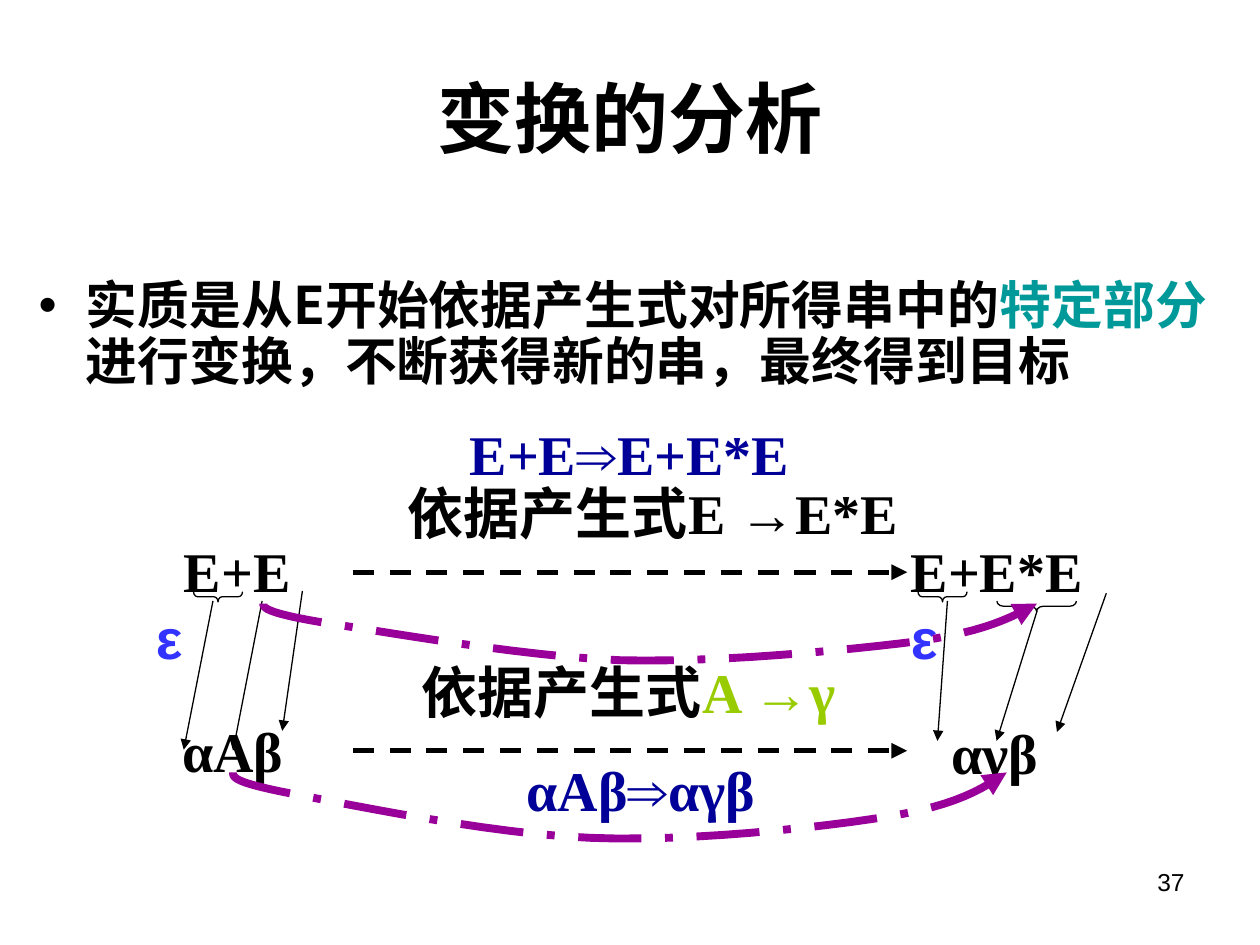
from lxml.etree import SubElement
from pptx import Presentation
from pptx.dml.color import RGBColor
from pptx.enum.dml import MSO_LINE
from pptx.enum.shapes import MSO_CONNECTOR, MSO_SHAPE
from pptx.enum.text import MSO_ANCHOR, PP_ALIGN
from pptx.oxml.ns import qn
from pptx.util import Pt

SERIF, SANS, CJK = "Times New Roman", "Arial", "Noto Sans CJK JP"
BLACK, NAVY, BLUE = "000000", "000099", "3333FF"
TEAL, LIME, PURPLE = "009999", "99CC00", "990099"


def color(hex_string):
    return RGBColor.from_string(hex_string)


def text(words, **changes):
    """Return the words with their format; defaults suit the diagram labels."""
    return words, dict(size=32, font=SERIF, color=BLACK, bold=True) | changes


def curve_points(start, segments, steps=12):
    """Sample a chain of cubic Bezier segments."""
    points = [start]
    for first, second, end in segments:
        corners = (points[-1], first, second, end)
        for step in range(1, steps + 1):
            t = step / steps
            weights = ((1 - t) ** 3, 3 * t * (1 - t) ** 2, 3 * t * t * (1 - t), t ** 3)
            points.append(tuple(sum(w * c[axis] for w, c in zip(weights, corners))
                                for axis in (0, 1)))
    return points


class SlideBuilder:
    def __init__(self, deck):
        self.page = deck.slides.add_slide(deck.slide_layouts[5])

    def place(self, box, left, top, width, height):
        box.left, box.top, box.width, box.height = map(Pt, (left, top, width, height))

    def fill_para(self, para, spans, align=PP_ALIGN.LEFT):
        para.alignment = align
        for words, style in spans:
            span = para.add_run()
            span.text = words
            span.font.size = Pt(style["size"])
            span.font.bold = style["bold"]
            span.font.color.rgb = color(style["color"])
            span.font.name = style["font"]
            east_asian = SubElement(span.font._element, qn("a:ea"))
            east_asian.set("typeface", CJK)

    def title(self, spans, *area):
        box = self.page.shapes.title
        self.place(box, *area)
        box.text_frame.vertical_anchor = MSO_ANCHOR.MIDDLE
        self.fill_para(box.text_frame.paragraphs[0], spans, PP_ALIGN.CENTER)

    def label(self, paras, *area, align=PP_ALIGN.LEFT):
        box = self.page.shapes.add_textbox(*map(Pt, area))
        frame = box.text_frame
        frame.word_wrap = True
        for number, spans in enumerate(paras):
            para = frame.add_paragraph() if number else frame.paragraphs[0]
            self.fill_para(para, spans, align)
        return frame.paragraphs[0]

    def bullet(self, spans, *area, indent=27):
        para = self.label([spans], *area)
        properties = para._p.get_or_add_pPr()
        properties.set("marL", str(Pt(indent)))
        properties.set("indent", str(-Pt(indent)))
        SubElement(properties, qn("a:buFont")).set("typeface", SANS)
        SubElement(properties, qn("a:buChar")).set("char", "•")
        para.line_spacing = 0.9

    def stroke(self, shape, line_color=BLACK, width=0.75, dash=None, arrow=False):
        line = shape.line
        line.color.rgb = color(line_color)
        line.width = Pt(width)
        if dash:
            line.dash_style = dash
        if arrow:
            SubElement(line._get_or_add_ln(), qn("a:tailEnd")).set("type", "triangle")

    def arrow(self, x1, y1, x2, y2, **style):
        connector = self.page.shapes.add_connector(
            MSO_CONNECTOR.STRAIGHT, *map(Pt, (x1, y1, x2, y2)))
        SubElement(connector._element.spPr, qn("a:effectLst"))
        self.stroke(connector, arrow=True, **style)

    def brace(self, center, middle, length, depth=5.8):
        """Draw a horizontal brace whose tip points down."""
        shape = self.page.shapes.add_shape(
            MSO_SHAPE.LEFT_BRACE, Pt(center - depth / 2), Pt(middle - length / 2),
            Pt(depth), Pt(length))
        shape.rotation = 270
        shape.adjustments[0] = length / depth / 12
        shape.shadow.inherit = False
        shape.fill.background()
        self.stroke(shape)

    def swoop(self, start, segments):
        points = [(Pt(x), Pt(y)) for x, y in curve_points(start, segments)]
        builder = self.page.shapes.build_freeform(*points[0])
        builder.add_line_segments(points[1:], close=False)
        shape = builder.convert_to_shape()
        shape.shadow.inherit = False
        shape.fill.background()
        self.stroke(shape, PURPLE, 4.5, MSO_LINE.LONG_DASH_DOT, arrow=True)


def main():
    deck = Presentation()
    deck.slide_width, deck.slide_height = Pt(720), Pt(540)
    slide = SlideBuilder(deck)

    slide.title([text("变换的分析", size=44, font=CJK)], 36, 21.6, 648, 90)
    slide.label([[text("37", size=14, font=SANS, bold=False)]],
                516, 492, 168, 37.5, align=PP_ALIGN.RIGHT)
    body = dict(size=29.6, font=CJK)
    slide.bullet([text("实质是从E开始依据产生式对所得串中的", **body),
                  text("特定部分", **body, color=TEAL),
                  text("进行变换，不断获得新的串，最终得到目标", **body)],
                 15, 156.2, 705, 85)

    epsilon = [text("ε", font=SANS, color=BLUE)]
    source = slide.label([[text("E+E")], epsilon], 82, 303, 113, 46)
    source._p.get_or_add_pPr().set("indent", str(Pt(16)))
    slide.label([[text("E+E*E")], epsilon], 513.4, 303, 134.6, 46)
    slide.label([[text("依据产生式E →E*E")]], 226, 270, 306, 46)
    slide.label([[text("αAβ")]], 97, 406, 76, 46)
    slide.label([[text("依据产生式"), text("A →γ", color=LIME)]], 234, 372, 264, 46)
    slide.label([[text("αγβ")]], 536.4, 407, 70, 46)

    for y in (327, 429):
        slide.arrow(201.6, y, 518.4, y, width=3, dash=MSO_LINE.DASH)
    for center, middle, length in ((124.6, 341, 28), (538.6, 341, 28), (592.4, 346.4, 45.4)):
        slide.brace(center, middle, length)
    for ends in ((121.7, 343.4, 105, 428.4), (149.8, 343.4, 133.2, 429),
                 (172.8, 337.7, 161.3, 417.6), (541.4, 343.4, 535.7, 423.4),
                 (592.6, 349.2, 569.5, 423.4), (632.2, 339, 604, 418.3)):
        slide.arrow(*ends)

    slide.swoop((150.5, 344.9), [
        ((150.5, 347), (150.5, 350), (184.3, 355.7)),
        ((218.2, 360.7), (298, 375.1), (354.2, 377.3)),
        ((411, 378.7), (484.6, 371.5), (524.2, 366.5)),
        ((563.8, 360.7), (578.2, 352.8), (592.6, 344.9))])
    slide.swoop((133.2, 441.4), [
        ((133.2, 444.2), (133.2, 447.1), (167, 453.6)),
        ((201.6, 460.1), (280.8, 476.6), (337.7, 478.8)),
        ((393.8, 481), (468, 473), (507.6, 466.6)),
        ((547.2, 460.1), (561.6, 450.7), (575.3, 441.4))])

    for left, right, *area in (("αAβ", "αγβ", 293.8, 428.4, 150, 46),
                               ("E+E", "E+E*E", 261.4, 236.2, 202, 46)):
        slide.label([[text(left, color=NAVY), text("⇒", color=NAVY, font=SANS),
                      text(right, color=NAVY)]], *area)

    deck.save("out.pptx")


if __name__ == "__main__":
    main()
